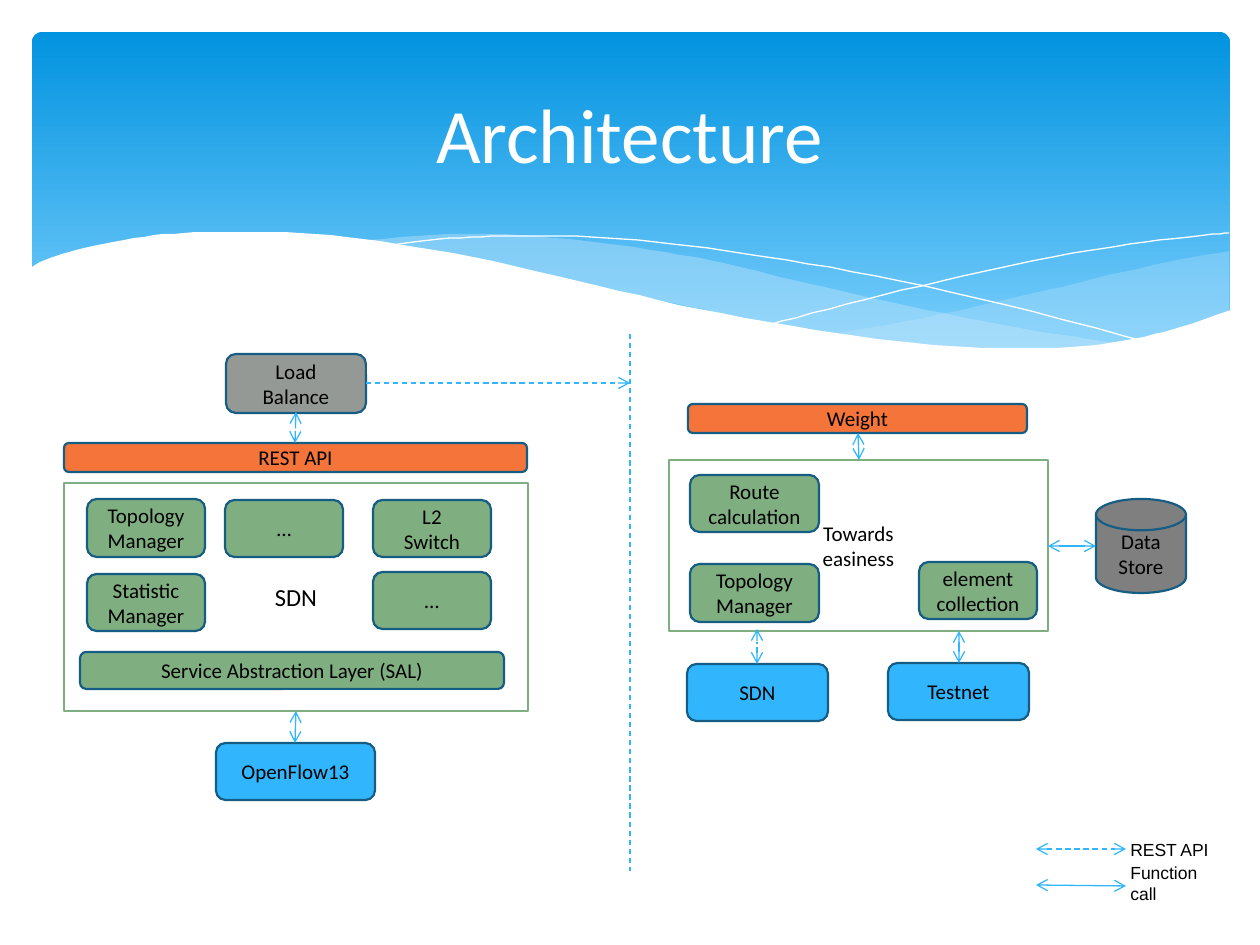
"""Build the architecture slide: a wave banner above two linked block diagrams."""
from lxml.etree import SubElement
from pptx import Presentation
from pptx.dml.color import RGBColor
from pptx.enum.dml import MSO_LINE
from pptx.enum.shapes import MSO_CONNECTOR, MSO_SHAPE
from pptx.enum.text import MSO_ANCHOR, PP_ALIGN
from pptx.oxml.ns import qn
from pptx.util import Emu, Pt

SCALE = 914400 / 126
WHITE = RGBColor(0xFF, 0xFF, 0xFF)
BLACK = RGBColor(0, 0, 0)
DEEP = RGBColor(0x02, 0x93, 0xE0)
PALE = RGBColor(0x83, 0xD3, 0xFE)
MIST = RGBColor(0xC6, 0xE7, 0xFC)
GRAY = RGBColor(0x95, 0x99, 0x95)
STONE = RGBColor(0x7F, 0x7F, 0x7F)
ORANGE = RGBColor(0xF4, 0x74, 0x3A)
GREEN = RGBColor(0x7F, 0xAF, 0x80)
BLUE = RGBColor(0x31, 0xB6, 0xFD)
NAVY = RGBColor(0x16, 0x5D, 0x83)
ROUND = MSO_SHAPE.ROUNDED_RECTANGLE
DISK = MSO_SHAPE.FLOWCHART_MAGNETIC_DISK
DASH, DOT = MSO_LINE.DASH, MSO_LINE.DASH_DOT


def px(*nums):
    return [Emu(round(n * SCALE)) for n in nums]


def curve(knots, steps=5):
    ends = [knots[0], *knots, knots[-1]]
    points = [knots[0]]
    for a, b, c, d in zip(ends, ends[1:], ends[2:], ends[3:]):
        for i in range(1, steps + 1):
            t = i / steps
            points.append(tuple(
                (2 * q + (r - p) * t + (2 * p - 5 * q + 4 * r - s) * t ** 2
                 + (3 * q - p - 3 * r + s) * t ** 3) / 2
                for p, q, r, s in zip(a, b, c, d)))
    return points


deck = Presentation()
deck.slide_width, deck.slide_height = px(1260, 945)
slide = deck.slides.add_slide(deck.slide_layouts[6])
shapes = slide.shapes

banner = shapes.add_shape(ROUND, *px(32, 32, 1198, 340))
banner.adjustments[0] = 0.03
banner.shadow.inherit = False
banner.line.fill.background()
banner.fill.gradient()
banner.fill.gradient_angle = 270
for stop, color in zip(banner.fill.gradient_stops, (DEEP, PALE)):
    stop.color.rgb = color

right = curve([(1229, 251), (1194, 257), (1123, 272), (1048, 290), (982, 305),
               (919, 319), (833, 334)])
right += curve([(833, 334), (888, 342), (954, 348), (1012, 350), (1064, 349),
                (1120, 344), (1178, 329), (1229, 311)])
left = curve([(1125, 344), (1055, 334), (977, 320), (890, 302), (793, 280),
              (736, 266), (665, 252), (585, 241), (503, 234), (433, 235), (360, 241)])
left += curve([(360, 241), (431, 251), (509, 266), (566, 280), (668, 302), (757, 321),
               (838, 335), (910, 344), (974, 349), (1031, 350), (1080, 349), (1125, 344)])
fall = curve([(389, 246), (422, 241), (471, 237), (524, 236), (591, 237), (672, 244),
              (766, 257), (876, 276), (1002, 304), (1143, 341)])
rise = curve([(772, 324), (847, 304), (942, 281), (1053, 257), (1146, 242),
              (1198, 236), (1229, 233)])
edge = curve([(1231, 310), (1184, 326), (1133, 339), (1071, 347), (999, 348),
              (915, 343), (815, 330), (699, 309), (599, 286), (493, 261), (397, 244),
              (315, 234), (243, 232), (184, 233), (134, 238), (84, 248), (50, 258),
              (29, 268)])
edge += [(29, 415), (1231, 415)]

for points, color, alpha in (
    (right, MIST, 29), (left, MIST, 40), (fall, None, 0), (rise, None, 0),
    (edge, WHITE, 100),
):
    pen = shapes.build_freeform(*points[0], scale=SCALE)
    pen.add_line_segments(points[1:], close=color is not None)
    wave = pen.convert_to_shape()
    wave.shadow.inherit = False
    if color is None:
        wave.fill.background()
        wave.line.color.rgb = WHITE
        wave.line.width = Pt(0)
    else:
        wave.line.fill.background()
        wave.fill.solid()
        wave.fill.fore_color.rgb = color
        tint = wave.fill._xPr.find(qn("a:solidFill"))[0]
        SubElement(tint, qn("a:alpha"), val=str(alpha * 1000))

for kind, fill, text, box in (
    (ROUND, GRAY, "Load\nBalance", (226, 354, 140, 59)),
    (ROUND, ORANGE, "REST API", (64, 443, 463, 29)),
    (ROUND, GREEN, "Topology\nManager", (87, 499, 118, 58)),
    (ROUND, GREEN, "Statistic\nManager", (87, 574, 118, 57)),
    (ROUND, GREEN, "Service Abstraction Layer (SAL)", (80, 652, 424, 37)),
    (MSO_SHAPE.RECTANGLE, None, "SDN", (64, 483, 464, 228)),
    (ROUND, GREEN, "L2\nSwitch", (373, 500, 118, 57)),
    (ROUND, GREEN, "…", (225, 500, 118, 57)),
    (ROUND, BLUE, "OpenFlow13", (216, 743, 159, 57)),
    (ROUND, GREEN, "…", (373, 572, 118, 57)),
    (ROUND, ORANGE, "Weight", (688, 404, 339, 29)),
    (MSO_SHAPE.RECTANGLE, None, "Towards\neasiness", (669, 460, 379, 171)),
    (ROUND, GREEN, "Topology\nManager", (690, 564, 129, 58)),
    (ROUND, GREEN, "element collection", (919, 562, 118, 57)),
    (ROUND, GREEN, "Route\ncalculation", (690, 475, 129, 57)),
    (ROUND, BLUE, "SDN", (687, 664, 141, 57)),
    (ROUND, BLUE, "Testnet", (888, 663, 141, 57)),
    (DISK, STONE, "Data\nStore", (1096, 499, 90, 94)),
):
    block = shapes.add_shape(kind, *px(*box))
    block.shadow.inherit = False
    block.line.width = Pt(1.25)
    if fill is None:
        block.fill.background()
        block.line.color.rgb = GREEN
    else:
        block.fill.solid()
        block.fill.fore_color.rgb = fill
        block.line.color.rgb = NAVY
    frame = block.text_frame
    frame.text = text
    frame.vertical_anchor = MSO_ANCHOR.MIDDLE
    for para in frame.paragraphs:
        para.alignment = PP_ALIGN.CENTER
        para.font.name = "Calibri"
        para.font.size = Pt(14 if box[2] == 464 else 12)
        para.font.color.rgb = BLACK

for ends, dash, tips in (
    ((366, 383, 630, 383), DASH, ("tailEnd",)),
    ((630, 334, 630, 871), DASH, ()),
    ((858, 433, 859, 460), DOT, ("headEnd", "tailEnd")),
    ((757, 664, 757, 629), DOT, ("headEnd", "tailEnd")),
    ((959, 663, 959, 631), None, ("headEnd", "tailEnd")),
    ((1048, 546, 1096, 546), None, ("headEnd", "tailEnd")),
    ((296, 711, 295, 743), None, ("headEnd", "tailEnd")),
    ((296, 412, 295, 443), DOT, ("headEnd", "tailEnd")),
    ((1036, 849, 1126, 849), DASH, ("headEnd", "tailEnd")),
    ((1036, 885, 1126, 886), None, ("headEnd", "tailEnd")),
):
    wire = shapes.add_connector(MSO_CONNECTOR.STRAIGHT, *px(*ends))
    wire.line.color.rgb = BLUE
    wire.line.width = Pt(0.75)
    if dash:
        wire.line.dash_style = dash
    for tip in tips:
        SubElement(wire.line._get_or_add_ln(), qn("a:" + tip), type="arrow")
    SubElement(wire._element.spPr, qn("a:effectLst"))

for text, box, font, size, color, side, wrap in (
    ("Architecture", (63, 47, 1134, 172), "Calibri", 44, WHITE, PP_ALIGN.CENTER, True),
    ("REST API", (1118, 832, 105, 34), "Arial", 10, BLACK, PP_ALIGN.LEFT, False),
    ("Function call", (1118, 866, 122, 34), "Arial", 10, BLACK, PP_ALIGN.LEFT, False),
):
    label = shapes.add_textbox(*px(*box))
    frame = label.text_frame
    frame.text = text
    frame.word_wrap = wrap
    frame.vertical_anchor = MSO_ANCHOR.MIDDLE
    para = frame.paragraphs[0]
    para.alignment = side
    para.font.name = font
    para.font.size = Pt(size)
    para.font.color.rgb = color

deck.save("out.pptx")
